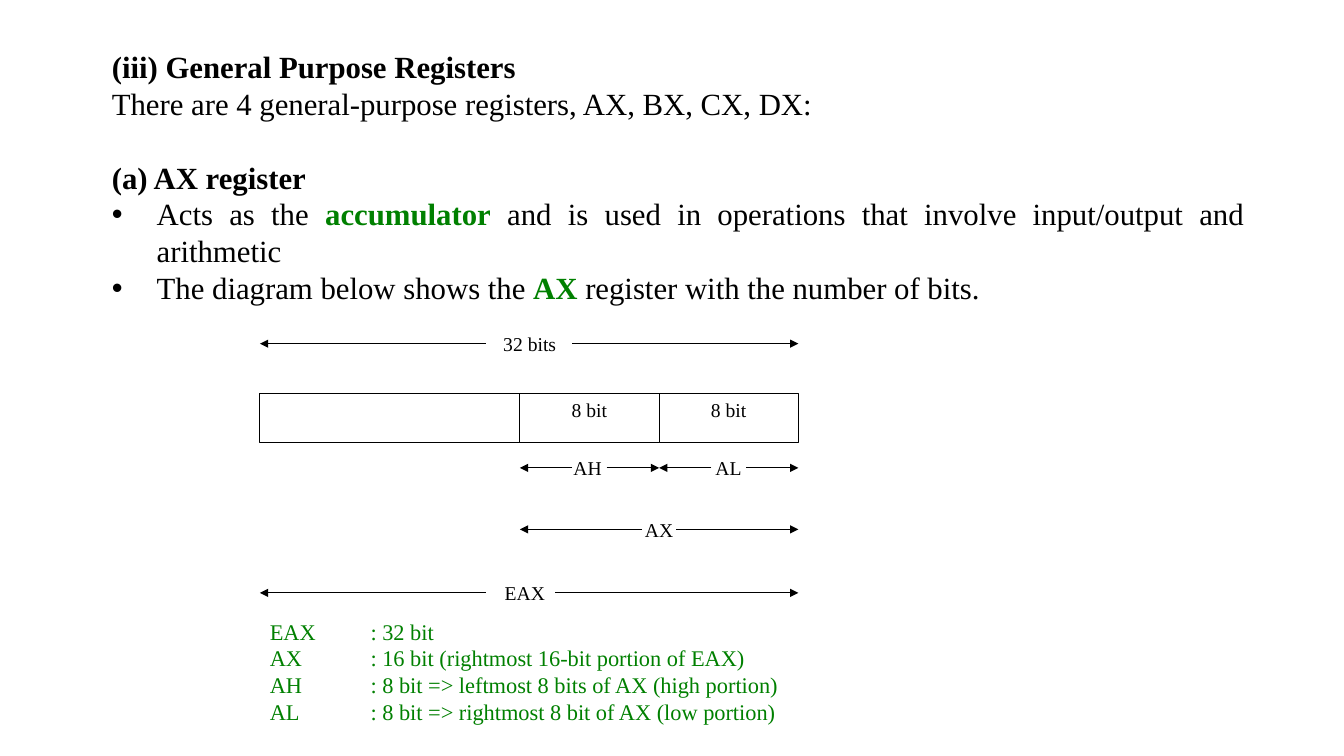
from lxml import etree
from pptx import Presentation
from pptx.dml.color import RGBColor
from pptx.enum.shapes import MSO_CONNECTOR, MSO_SHAPE
from pptx.enum.text import MSO_ANCHOR, PP_ALIGN
from pptx.oxml.ns import qn
from pptx.util import Cm, Pt

STRAIGHT = MSO_CONNECTOR.STRAIGHT
RECTANGLE = MSO_SHAPE.RECTANGLE
TOP = MSO_ANCHOR.TOP
CENTER, JUSTIFY = PP_ALIGN.CENTER, PP_ALIGN.JUSTIFY

FONT = "Times New Roman"
COLORS = {"ink": "000000", "accent": "008000", "paper": "FFFFFF"}


def rgb(name):
    return RGBColor.from_string(COLORS[name])


def add_run(paragraph, text, size, color="ink", bold=False):
    run = paragraph.add_run()
    run.text = text
    run.font.name = FONT
    run.font.size = Pt(size)
    run.font.bold = bold
    run.font.color.rgb = rgb(color)


def add_text_box(slide, left, top, width, height, wrap=True):
    box = slide.shapes.add_textbox(Cm(left), Cm(top), Cm(width), Cm(height))
    box.text_frame.word_wrap = wrap
    return box.text_frame


def next_paragraph(frame, index):
    return frame.add_paragraph() if index else frame.paragraphs[0]


def add_arrow(slide, x1, x2, y):
    arrow = slide.shapes.add_connector(STRAIGHT, Cm(x1), Cm(y), Cm(x2), Cm(y))
    arrow.line.color.rgb = rgb("ink")
    arrow.line.width = Pt(0.75)
    etree.SubElement(arrow.line._get_or_add_ln(), qn("a:tailEnd"), type="triangle")
    etree.SubElement(arrow._element.spPr, qn("a:effectLst"))


def add_introduction(slide, left, top, width, height):
    # (bulleted, space before, [(text, color, bold), ...])
    lines = [
        (False, 0, [("(iii) General Purpose Registers", "ink", True)]),
        (False, 0, [("There are 4 general-purpose registers, AX, BX, CX, DX:", "ink", False)]),
        (False, 26.4, [("(a) AX register", "ink", True)]),
        (True, 0, [("Acts as the ", "ink", False),
                   ("accumulator", "accent", True),
                   (" and is used in operations that involve input/output and arithmetic",
                    "ink", False)]),
        (True, 0, [("The diagram below shows the ", "ink", False),
                   ("AX", "accent", True),
                   (" register with the number of bits.", "ink", False)]),
    ]
    frame = add_text_box(slide, left, top, width, height)
    for index, (bulleted, space_before, runs) in enumerate(lines):
        paragraph = next_paragraph(frame, index)
        if space_before:
            paragraph.space_before = Pt(space_before)
        properties = paragraph._p.get_or_add_pPr()
        properties.set("marL", str(Cm(1.13)))
        properties.set("indent", str(-Cm(1.13)))
        if bulleted:
            paragraph.alignment = JUSTIFY
            etree.SubElement(properties, qn("a:buFont"), typeface="Arial")
            etree.SubElement(properties, qn("a:buChar"), char="•")
        for text, color, bold in runs:
            add_run(paragraph, text, 22, color, bold)


def add_span(slide, left, right, y, gap_start, gap_end, label, label_center):
    """Draw a labelled extent: two arrows pointing outwards from a gap."""
    add_arrow(slide, gap_start, left, y)
    add_arrow(slide, gap_end, right, y)
    label_width = 1.86
    frame = add_text_box(slide, label_center - label_width / 2, y - 0.42,
                         label_width, 0.84, wrap=False)
    frame.paragraphs[0].alignment = CENTER
    add_run(frame.paragraphs[0], label, 14)


def add_register_diagram(slide, left, top, width):
    byte_width = 3.51
    high_start = width - 2 * byte_width
    low_start = width - byte_width

    # Register cells
    cells = [(0, high_start, ""), (high_start, byte_width, "8 bit"),
             (low_start, byte_width, "8 bit")]
    for offset, cell_width, bits in cells:
        cell = slide.shapes.add_shape(RECTANGLE, Cm(left + offset), Cm(top + 1.25),
                                      Cm(cell_width), Cm(1.24))
        cell.shadow.inherit = False
        cell.fill.solid()
        cell.fill.fore_color.rgb = rgb("paper")
        cell.line.color.rgb = rgb("ink")
        cell.line.width = Pt(0.75)
        if bits:
            cell.text_frame.vertical_anchor = TOP
            cell.text_frame.paragraphs[0].alignment = CENTER
            add_run(cell.text_frame.paragraphs[0], bits, 14)

    # Extents: start, end, height, gap start, gap end, label, label center
    spans = [
        (0, width, 0, 5.69, 7.87, "32 bits", 6.8),
        (high_start, low_start, 3.13, 7.87, 8.74, "AH", 8.26),
        (low_start, width, 3.13, 11.38, 12.25, "AL", 11.81),
        (high_start, width, 4.68, 9.63, 10.49, "AX", 10.06),
        (0, width, 6.28, 5.69, 7.44, "EAX", 6.68),
    ]
    for start, end, y, gap_start, gap_end, label, center in spans:
        add_span(slide, left + start, left + end, top + y,
                 left + gap_start, left + gap_end, label, left + center)


def add_legend(slide, left, top, width, height):
    entries = [
        ("EAX", "32 bit"),
        ("AX", "16 bit (rightmost 16-bit portion of EAX)"),
        ("AH", "8 bit => leftmost 8 bits of AX (high portion)"),
        ("AL", "8 bit => rightmost 8 bit of AX (low portion)"),
    ]
    frame = add_text_box(slide, left, top, width, height)
    for index, (register, meaning) in enumerate(entries):
        paragraph = next_paragraph(frame, index)
        tabs = etree.SubElement(paragraph._p.get_or_add_pPr(), qn("a:tabLst"))
        etree.SubElement(tabs, qn("a:tab"), pos=str(Cm(2.54)), algn="l")
        add_run(paragraph, f"{register}\t: {meaning}", 16, "accent")


def main():
    presentation = Presentation()
    presentation.slide_width = Cm(33.87)
    presentation.slide_height = Cm(19.05)
    slide = presentation.slides.add_slide(presentation.slide_layouts[6])
    add_introduction(slide, 2.57, 1.07, 29.03, 6.83)
    add_register_diagram(slide, 6.55, 8.66, 13.57)
    add_legend(slide, 6.55, 15.44, 20.12, 2.97)
    presentation.save("out.pptx")


if __name__ == "__main__":
    main()
